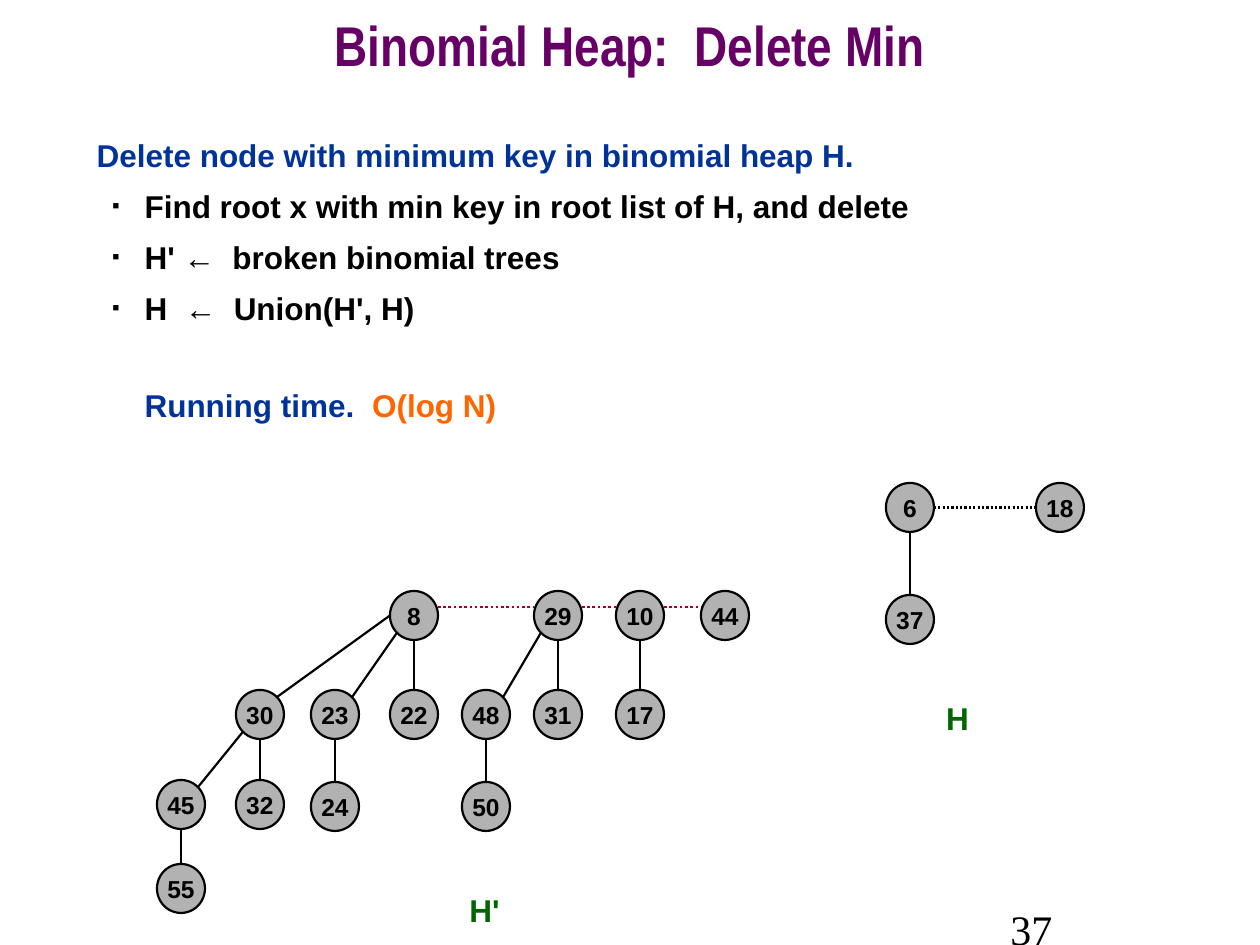
import pptx
import pptx.util
import pptx.dml.color
import pptx.enum.dml
import pptx.enum.shapes
import pptx.enum.text
import pptx.oxml
import pptx.oxml.ns

SCALE = 914400 // 126
NODE_W, NODE_H = 48, 49
COLORS = {
    "title": "660066", "heading": "003399", "text": "000000", "accent": "FF6600",
    "node": "B2B2B2", "line": "000000", "roots": "A50021", "label": "006600",
}
# Points on a node as fractions of its box
SITES = {
    "top": (0.5, 0), "bottom": (0.5, 1), "left": (0, 0.5), "right": (1, 0.5),
    "upper right": (0.86, 0.14), "lower left": (0.14, 0.86),
}
ALIGN = pptx.enum.text.PP_ALIGN
ANCHOR = pptx.enum.text.MSO_ANCHOR


def px(value):
    return pptx.util.Emu(round(value * SCALE))


def rgb(name):
    return pptx.dml.color.RGBColor.from_string(COLORS[name])


def move(shape, box):
    shape.left, shape.top, shape.width, shape.height = map(px, box)


def add_span(para, text, size, color, font="Arial", bold=True):
    span = para.add_run()
    span.text = text
    span.font.name = font
    span.font.size = pptx.util.Pt(size)
    span.font.bold = bold
    span.font.color.rgb = rgb(color)


def set_indent(para, left, first=0, bullet=None):
    props = para._p.get_or_add_pPr()
    props.set("marL", str(px(left)))
    props.set("indent", str(px(first)))
    ns = pptx.oxml.ns.nsdecls("a")
    if bullet is None:
        props.append(pptx.oxml.parse_xml(f"<a:buNone {ns}/>"))
        return
    for xml in (
        f'<a:buClr {ns}><a:srgbClr val="{COLORS["text"]}"/></a:buClr>',
        f'<a:buSzPct {ns} val="35000"/>',
        f'<a:buFont {ns} typeface="Arial"/>',
        f'<a:buChar {ns} char="{bullet}"/>',
    ):
        props.append(pptx.oxml.parse_xml(xml))


def add_title(page, box):
    title = page.shapes.title
    move(title, box)
    title.text_frame.auto_size = pptx.enum.text.MSO_AUTO_SIZE.NONE
    title.text_frame.vertical_anchor = ANCHOR.MIDDLE
    para = title.text_frame.paragraphs[0]
    para.alignment = ALIGN.CENTER
    para.line_spacing = 0.7
    add_span(para, "Binomial Heap:  Delete Min", 32, "title", "Arial Narrow")


def add_body(page, box):
    body = page.placeholders[1]
    move(body, box)
    frame = body.text_frame
    frame.auto_size = pptx.enum.text.MSO_AUTO_SIZE.NONE
    heading = [("Delete node with minimum key in binomial heap H.", "heading")]
    steps = ["Find root x with min key in root list of H, and delete",
             "H' ←  broken binomial trees", "H  ←  Union(H', H)"]
    running = [("Running time.  ", "heading"), ("O(log N)", "accent")]
    # spans, level, left indent, first-line indent, bullet, space before
    rows = [(heading, 0, 0, 0, None, 4.5)]
    rows += [([(step, "text")], 1, 48, -32, "■", 5.4) for step in steps]
    rows += [(running, 0, 48, 0, None, 31.8)]
    for index, (spans, level, left, first, bullet, before) in enumerate(rows):
        para = frame.add_paragraph() if index else frame.paragraphs[0]
        para.level = level
        para.line_spacing = 1.1
        para.space_before = pptx.util.Pt(before)
        set_indent(para, left, first, bullet)
        for text, color in spans:
            add_span(para, text, 18, color)


def add_text(page, box, text, size, color, font="Arial", bold=True,
             align=ALIGN.CENTER, anchor=ANCHOR.TOP):
    shape = page.shapes.add_textbox(*map(px, box))
    shape.text_frame.word_wrap = True
    shape.text_frame.vertical_anchor = anchor
    para = shape.text_frame.paragraphs[0]
    para.alignment = align
    add_span(para, text, size, color, font, bold)


def add_node(page, key, left, top):
    node = page.shapes.add_shape(pptx.enum.shapes.MSO_SHAPE.OVAL,
                                 *map(px, (left, top, NODE_W, NODE_H)))
    node.name = f"Node {key}"
    node.shadow.inherit = False
    node.fill.solid()
    node.fill.fore_color.rgb = rgb("node")
    node.line.color.rgb = rgb("line")
    node.line.width = pptx.util.Pt(1.25)
    node.text_frame.word_wrap = False
    node.text_frame.vertical_anchor = ANCHOR.MIDDLE
    para = node.text_frame.paragraphs[0]
    para.alignment = ALIGN.CENTER
    add_span(para, str(key), 14, "text")


def add_line(page, start, end, color="line", width=1.25, dotted=False):
    line = page.shapes.add_connector(pptx.enum.shapes.MSO_CONNECTOR.STRAIGHT,
                                     *map(px, (*start, *end)))
    line.line.color.rgb = rgb(color)
    line.line.width = pptx.util.Pt(width)
    if dotted:
        line.line.dash_style = pptx.enum.dml.MSO_LINE.ROUND_DOT
    effects = f'<a:effectLst {pptx.oxml.ns.nsdecls("a")}/>'
    line._element.spPr.append(pptx.oxml.parse_xml(effects))


def add_heap(page, box, nodes, edges, roots, root_line, label, label_box):
    """Nodes are {key: (x, y)} and edges (child, parent), relative to the box."""
    left, top = box[:2]
    places = {key: (left + x, top + y) for key, (x, y) in nodes.items()}

    def site(key, name):
        x, y = places[key]
        across, down = SITES[name]
        return x + across * NODE_W, y + down * NODE_H

    # Tree edges
    for child, parent, *parent_site in edges:
        if places[child][0] == places[parent][0]:
            ends = "top", "bottom"
        else:
            ends = "upper right", (parent_site or ["lower left"])[0]
        add_line(page, site(child, ends[0]), site(parent, ends[1]))
    # Root list
    drop, color, width = root_line
    for first, second in zip(roots, roots[1:]):
        y = places[first][1] + drop
        add_line(page, (site(first, "right")[0], y), (site(second, "left")[0], y),
                 color, width, dotted=True)
    for key, place in places.items():
        add_node(page, key, *place)
    x, y, width, height = label_box
    add_text(page, (left + x, top + y, width, height), label, 18, "label")


deck = pptx.Presentation()
deck.slide_width, deck.slide_height = px(1260), px(945)
page = deck.slides.add_slide(deck.slide_layouts[1])

add_title(page, (0, 0, 1260, 105))
add_body(page, (84, 126, 1081, 746))

# Heap H' of broken trees
add_heap(
    page, (157, 591, 592, 344),
    {8: (233, 0), 29: (377, 0), 10: (459, 0), 44: (544, 0),
     30: (79, 99), 23: (154, 99), 22: (233, 99), 48: (305, 99), 31: (377, 99),
     17: (459, 99), 45: (0, 189), 32: (79, 189), 24: (154, 191), 50: (305, 191),
     55: (0, 273)},
    [(30, 8, "left"), (23, 8), (22, 8), (48, 29), (31, 29), (17, 10),
     (45, 30), (32, 30), (24, 23), (50, 48), (55, 45)],
    [8, 29, 10, 44], (16, "roots", 1.5), "H'", (284, 294, 87, 50))

# Remaining heap H
add_heap(
    page, (886, 483, 198, 260),
    {6: (0, 0), 18: (150, 0), 37: (0, 112)}, [(37, 6)],
    [6, 18], (24.5, "line", 1.25), "H", (28, 210, 87, 50))

# Page number
add_text(page, (998, 897, 262, 63), "37", 24, "text", "Times New Roman", False,
         ALIGN.LEFT, ANCHOR.MIDDLE)

deck.save("out.pptx")
